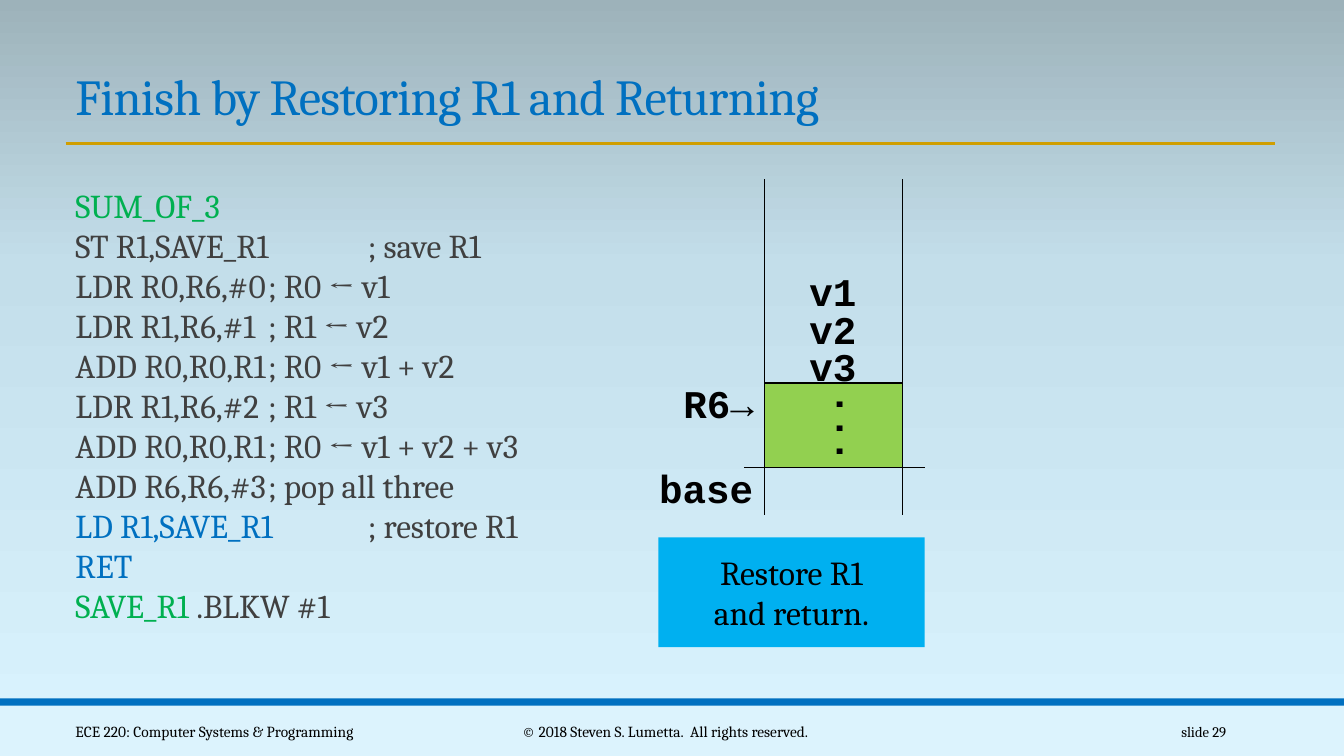
from pptx import Presentation
from pptx.dml.color import RGBColor
from pptx.enum.shapes import MSO_CONNECTOR, MSO_SHAPE
from pptx.enum.text import MSO_ANCHOR, MSO_AUTO_SIZE, PP_ALIGN
from pptx.oxml import parse_xml
from pptx.oxml.ns import qn
from pptx.util import Inches, Pt
from lxml import etree

LINE, RECT = MSO_CONNECTOR.STRAIGHT, MSO_SHAPE.RECTANGLE
TOP, MID, LOW = MSO_ANCHOR.TOP, MSO_ANCHOR.MIDDLE, MSO_ANCHOR.BOTTOM
LEFT, MIDST, RIGHT = PP_ALIGN.LEFT, PP_ALIGN.CENTER, PP_ALIGN.RIGHT
GROW = MSO_AUTO_SIZE.SHAPE_TO_FIT_TEXT
BLUE, GREEN, GREY, BLACK = "0070C0", "00B050", "404040", "000000"


def color(code):
    return RGBColor.from_string(code)


def style(para, **form):
    """Set the font of every run in a paragraph."""
    for run in para.runs:
        run.font.color.rgb = color(form.get("ink", BLACK))
        for key in ("name", "size", "bold"):
            if key in form:
                setattr(run.font, key, form[key])


deck = Presentation()
deck.slide_width, deck.slide_height = Inches(13.33), Inches(7.5)
slide = deck.slides.add_slide(deck.slide_layouts[6])
shapes = slide.shapes

# Background: three stops, light at the bottom
fill = slide.background.fill
fill.gradient()
fill.gradient_angle = 90
stops = slide.background._cSld.find(".//" + qn("a:gsLst"))
for stop in list(stops):
    stops.remove(stop)
for pos, code in ((0, "DAF4FF"), (65, "C3DEEA"), (100, "9DB2BA")):
    stops.append(parse_xml(
        '<a:gs xmlns:a="http://schemas.openxmlformats.org/drawingml/2006/main" '
        f'pos="{pos * 1000}"><a:srgbClr val="{code}"/></a:gs>'))

# Footer bands, stack block and note box
for box, code, edge in (
    ((0, 7, 13.33, 0.5), "DCF3FD", None),
    ((0, 6.93, 13.33, 0.07), BLUE, None),
    ((7.58, 3.8, 1.37, 0.84), "92D050", BLACK),
    ((6.53, 5.33, 2.64, 1.09), "00B0F0", None),
):
    note = shapes.add_shape(RECT, *map(Inches, box))
    note.shadow.inherit = False
    note.fill.solid()
    note.fill.fore_color.rgb = color(code)
    if edge:
        note.line.color.rgb = color(edge)
        note.line.width = Pt(1)
    else:
        note.line.fill.background()

# Text of the note box, the last shape drawn
note.text_frame.vertical_anchor = MID
para = note.text_frame.paragraphs[0]
para.text = "Restore R1\vand return."
para.alignment = MIDST
style(para, name="Cambria", size=Pt(24))

# Title rule and stack outline
for ends, code, width in (
    ((0.65, 1.42, 12.65, 1.42), "D09E00", 2),
    ((7.58, 1.78, 7.58, 5.11), BLACK, 1),
    ((8.95, 1.78, 8.95, 5.11), BLACK, 1),
    ((9.17, 4.64, 7.38, 4.64), BLACK, 1),
):
    rule = shapes.add_connector(LINE, *map(Inches, ends))
    rule.line.color.rgb = color(code)
    rule.line.width = Pt(width)
    etree.SubElement(rule._element.spPr, qn("a:effectLst"))

# Title and footer
for text, box, size, ink, side, anchor in (
    ("Finish by Restoring R1 and Returning",
     (0.65, 0.59, 12.01, 0.71), 36, BLUE, LEFT, LOW),
    ("ECE 220: Computer Systems & Programming",
     (0.65, 7.06, 3.62, 0.4), 11, BLACK, LEFT, MID),
    ("© 2018 Steven S. Lumetta.  All rights reserved.",
     (4.03, 7.06, 5.14, 0.4), 11, BLACK, MIDST, MID),
    ("slide 29", (10.83, 7.06, 1.43, 0.4), 10.5, BLACK, RIGHT, MID),
):
    frame = shapes.add_textbox(*map(Inches, box)).text_frame
    frame.word_wrap = True
    frame.vertical_anchor = anchor
    para = frame.paragraphs[0]
    para.text = text
    para.alignment = side
    style(para, name="Cambria", size=Pt(size), ink=ink)
    if anchor == LOW:
        para.line_spacing = 0.85
        para.runs[0].font._element.set("spc", "-50")

# Code listing: each line is a list of text and colour
code = [
    [("SUM_OF_3", GREEN)],
    [("ST R1,SAVE_R1\t; save R1", GREY)],
    [("LDR R0,R6,#0\t; R0 ← v1", GREY)],
    [("LDR R1,R6,#1\t; R1 ← v2", GREY)],
    [("ADD R0,R0,R1\t; R0 ← v1 + v2", GREY)],
    [("LDR R1,R6,#2\t; R1 ← v3", GREY)],
    [("ADD R0,R0,R1\t; R0 ← v1 + v2 + v3", GREY)],
    [("ADD R6,R6,#3\t; pop all three", GREY)],
    [("LD R1,SAVE_R1", BLUE), ("\t; restore R1", GREY)],
    [("RET", BLUE)],
    [("SAVE_R1 ", GREEN), (".BLKW #1", GREY)],
]
box = (0.65, 1.79, 8.52, 4.64)
frame = shapes.add_textbox(*map(Inches, box)).text_frame
frame.word_wrap = True
frame.margin_left, frame.margin_right = Inches(0.1), 0
for row, parts in enumerate(code):
    para = frame.add_paragraph() if row else frame.paragraphs[0]
    tabs = etree.SubElement(para._p.get_or_add_pPr(), qn("a:tabLst"))
    for pos in (1.91, 2.9):
        tab = etree.SubElement(tabs, qn("a:tab"))
        tab.set("pos", str(Inches(pos)))
        tab.set("algn", "l")
    for text, ink in parts:
        para.add_run().text = text
    style(para, name="Cambria", size=Pt(23.8))
    for run, (text, ink) in zip(para.runs, parts):
        run.font.color.rgb = color(ink)

# Stack labels
labels = [("base", 6.44, 4.56, 1.14, 0), ("...", 7.75, 3.96, 0.91, 270),
          ("R6→", 6.68, 3.71, 0.91, 0)]
labels += [(f"v{n + 1}", 7.93, 2.6 + 0.375 * n, 0.67, 0) for n in range(3)]
for text, left, top, width, turn in labels:
    label = shapes.add_textbox(*map(Inches, (left, top, width, 0.57)))
    label.rotation = turn
    frame = label.text_frame
    frame.word_wrap = False
    frame.auto_size = GROW
    frame.vertical_anchor = TOP
    para = frame.paragraphs[0]
    para.text = text
    style(para, name="Courier New", size=Pt(28), bold=True)

deck.save("out.pptx")
